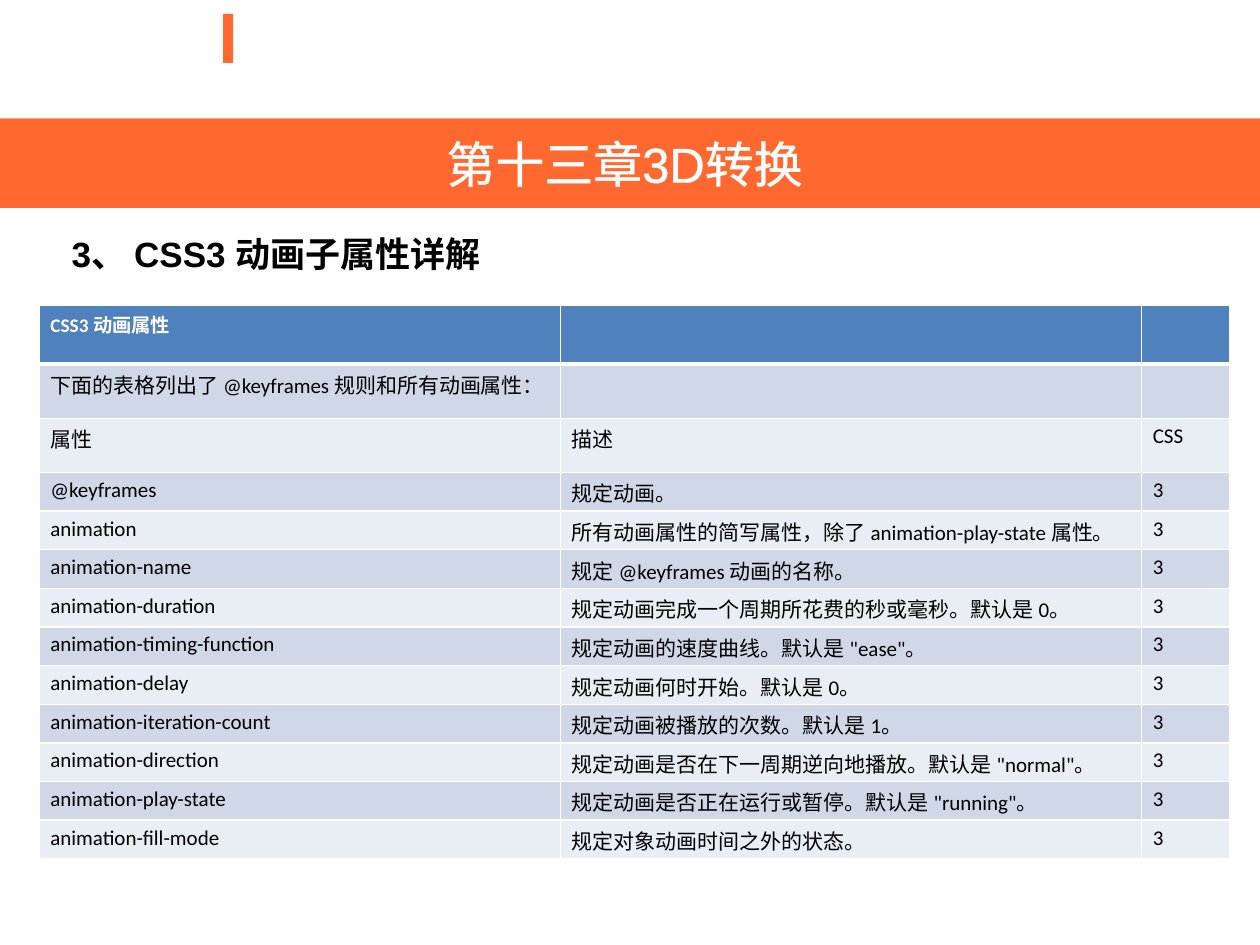
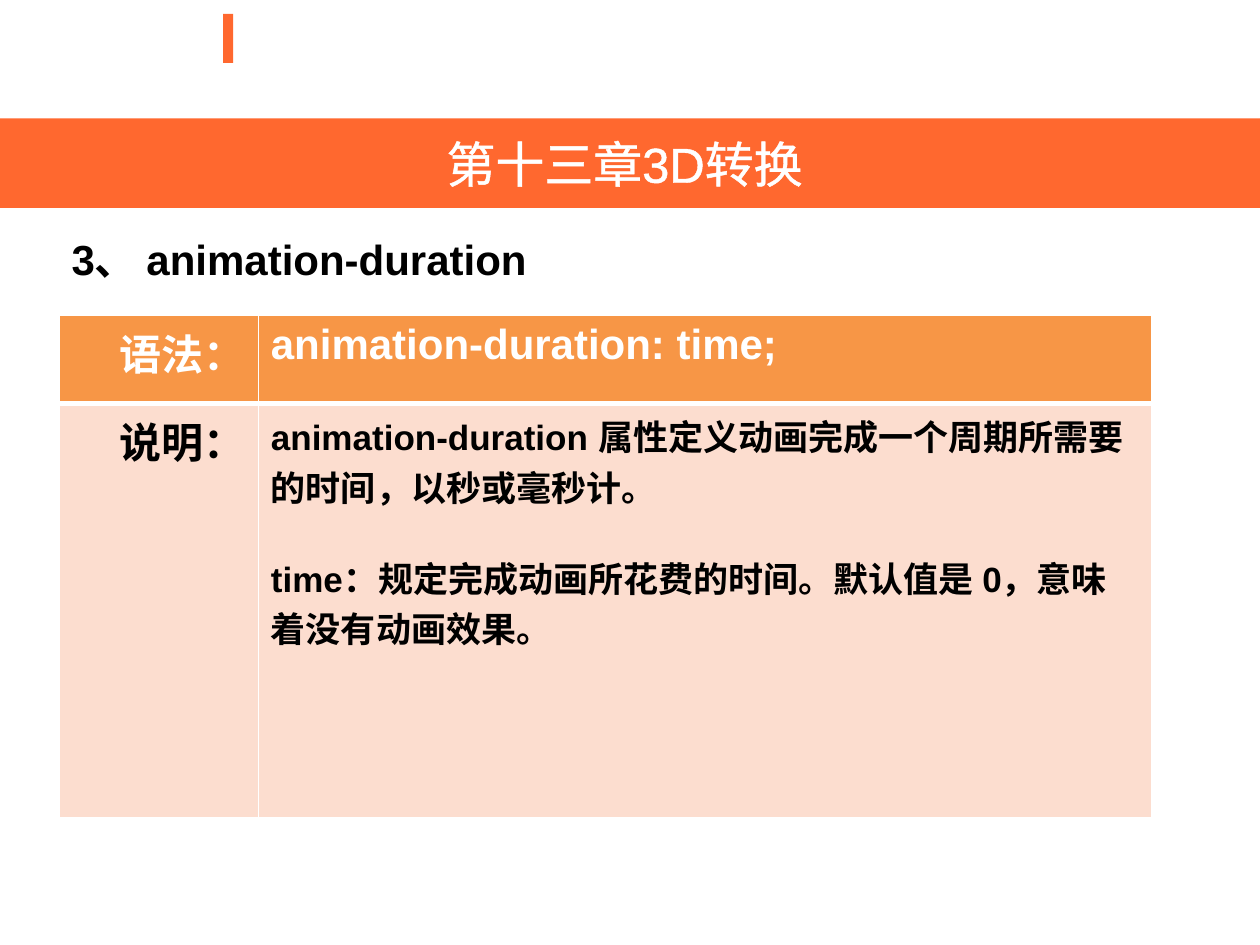
import dataclasses

import pptx
import pptx.dml.color
import pptx.enum.shapes
import pptx.enum.text
import pptx.oxml.ns
import pptx.slide
import pptx.util
from lxml import etree

Inches = pptx.util.Inches
Pt = pptx.util.Pt
Align = pptx.enum.text.PP_ALIGN
Anchor = pptx.enum.text.MSO_ANCHOR
AutoSize = pptx.enum.text.MSO_AUTO_SIZE


@dataclasses.dataclass(frozen=True)
class Theme:
    accent: str = "FF682F"
    white: str = "FFFFFF"
    ink: str = "000000"
    blue_header: str = "4F81BD"
    blue_bands: tuple = ("D0D8E8", "E9EDF4")
    orange_header: str = "F79646"
    orange_body: str = "FCDDCF"
    font: str = "Arial"
    table_font: str = "Calibri"
    title_size: float = 28
    title_outline: float = 1.45
    large: float = 24
    medium: float = 20
    cell_size: float = 12
    cell_header_size: float = 11
    thin: float = 1
    thick: float = 3


CHAPTER = "第十三章3D转换\N{NO-BREAK SPACE}"
PROPERTIES = [
    ("@keyframes", "规定动画。"),
    ("animation", "所有动画属性的简写属性，除了 animation-play-state 属性。"),
    ("animation-name", "规定 @keyframes 动画的名称。"),
    ("animation-duration", "规定动画完成一个周期所花费的秒或毫秒。默认是 0。"),
    ("animation-timing-function", '规定动画的速度曲线。默认是 "ease"。'),
    ("animation-delay", "规定动画何时开始。默认是 0。"),
    ("animation-iteration-count", "规定动画被播放的次数。默认是 1。"),
    ("animation-direction", '规定动画是否在下一周期逆向地播放。默认是 "normal"。'),
    ("animation-play-state", '规定动画是否正在运行或暂停。默认是 "running"。'),
    ("animation-fill-mode", "规定对象动画时间之外的状态。"),
]


def rgb(color):
    return pptx.dml.color.RGBColor.from_string(color)


def add_line(parent, tag, width, color):
    """Return a solid a:ln-type element added under parent."""
    qn = pptx.oxml.ns.qn
    line = etree.SubElement(parent, qn(tag), w=str(Pt(width)))
    fill = etree.SubElement(line, qn("a:solidFill"))
    etree.SubElement(fill, qn("a:srgbClr"), val=color)
    return line


def write(frame, text, *, size, color, font, bold=False, align=Align.LEFT,
          gap=0, outline=None):
    """Fill a text frame, one paragraph a line, with gap points between them."""
    for number, words in enumerate(text.split("\n")):
        paragraph = frame.add_paragraph() if number else frame.paragraphs[0]
        paragraph.alignment = align
        paragraph.space_before = Pt(gap if number else 0)
        run = paragraph.add_run()
        run.text = words
        run.font.size = Pt(size)
        run.font.name = font
        run.font.bold = bold
        run.font.color.rgb = rgb(color)
        if outline:
            properties = run.font.fill._xPr
            properties.insert(0, add_line(properties, "a:ln", outline, color))


@dataclasses.dataclass
class Deck:
    presentation: pptx.presentation.Presentation
    theme: Theme
    slide: pptx.slide.Slide = None

    def start_slide(self, heading, size):
        layout = self.presentation.slide_layouts[5]
        self.slide = self.presentation.slides.add_slide(layout)
        self.accent_mark()
        self.chapter_band()
        self.heading(heading, size)

    def accent_mark(self):
        mark = self.slide.shapes.add_shape(
            pptx.enum.shapes.MSO_SHAPE.RECTANGLE,
            Inches(1.77), Inches(0.11), Inches(0.08), Inches(0.39))
        mark.shadow.inherit = False
        mark.fill.solid()
        mark.fill.fore_color.rgb = rgb(self.theme.accent)
        mark.line.fill.background()

    def chapter_band(self):
        theme = self.theme
        band = self.slide.shapes.title
        band.left, band.top = Inches(0), Inches(0.94)
        band.width, band.height = self.presentation.slide_width, Inches(0.71)
        band.fill.solid()
        band.fill.fore_color.rgb = rgb(theme.accent)
        band.text_frame.auto_size = AutoSize.NONE
        band.text_frame.vertical_anchor = Anchor.MIDDLE
        write(band.text_frame, CHAPTER, size=theme.title_size,
              color=theme.white, font=theme.font, align=Align.CENTER,
              outline=theme.title_outline)

    def heading(self, text, size):
        box = self.slide.shapes.add_textbox(
            Inches(0.47), Inches(1.8), Inches(9.06), Inches(size / 50 + 0.03))
        box.text_frame.word_wrap = True
        box.text_frame.auto_size = AutoSize.SHAPE_TO_FIT_TEXT
        write(box.text_frame, text, size=size, color=self.theme.ink,
              font=self.theme.font, bold=True)

    def table(self, left, top, columns, rows):
        """Add an empty table with the given column widths and row heights."""
        table = self.slide.shapes.add_table(
            len(rows), len(columns), left, top, sum(columns), sum(rows)).table
        for column, width in zip(table.columns, columns):
            column.width = width
        for row, height in zip(table.rows, rows):
            row.height = height
        return table

    def cell(self, table, row, column, text, fill, **text_format):
        """Fill and border one cell; the rule under the first row is thick."""
        theme = self.theme
        cell = table.cell(row, column)
        properties = cell._tc.get_or_add_tcPr()
        widths = {
            "a:lnL": theme.thin,
            "a:lnR": theme.thin,
            "a:lnT": theme.thick if row == 1 else theme.thin,
            "a:lnB": theme.thick if row == 0 else theme.thin,
        }
        for tag, width in widths.items():
            add_line(properties, tag, width, theme.white)
        cell.fill.solid()
        cell.fill.fore_color.rgb = rgb(fill)
        if text:
            write(cell.text_frame, text, **text_format)
        return cell


def build_property_overview(deck):
    theme = deck.theme
    deck.start_slide("3、 CSS3 动画子属性详解", theme.medium)
    lines = [
        ("CSS3 动画属性", "", ""),
        ("下面的表格列出了 @keyframes 规则和所有动画属性：", "", ""),
        ("属性", "描述", "CSS"),
        *((name, description, "3") for name, description in PROPERTIES),
    ]
    property_height = Inches(3.07) // len(PROPERTIES)
    heights = [Inches(0.47), Inches(0.43), Inches(0.43)]
    heights += [property_height] * len(PROPERTIES)
    overview = deck.table(Inches(0.31), Inches(2.42),
                          [Inches(4.14), Inches(4.61), Inches(0.7)], heights)
    for row, line in enumerate(lines):
        header = row == 0
        fill = theme.blue_header if header else theme.blue_bands[(row - 1) % 2]
        for column, text in enumerate(line):
            cell = deck.cell(
                overview, row, column, text, fill, font=theme.table_font,
                size=theme.cell_header_size if header else theme.cell_size,
                color=theme.white if header else theme.ink, bold=header)
            cell.margin_left = cell.margin_right = Inches(0.09)
            cell.margin_top, cell.margin_bottom = Inches(0.04), Inches(0)


def build_duration(deck):
    theme = deck.theme
    deck.start_slide("3、 animation-duration", theme.large)
    explanation = (
        "animation-duration 属性定义动画完成一个周期所需要的时间，以秒或毫秒计。\n"
        "time：规定完成动画所花费的时间。默认值是 0，意味着没有动画效果。")
    lines = [
        ("语法：", "animation-duration: time;", theme.large,
         theme.white, theme.orange_header),
        ("说明：", explanation, theme.medium, theme.ink, theme.orange_body),
    ]
    syntax = deck.table(Inches(0.47), Inches(2.5),
                        [Inches(1.58), Inches(7.09)],
                        [Inches(0.7), Inches(3.29)])
    for row, (label, text, size, color, fill) in enumerate(lines):
        shared = dict(color=color, font=theme.font, bold=True)
        deck.cell(syntax, row, 0, label, fill, size=theme.large,
                  align=Align.RIGHT, **shared)
        deck.cell(syntax, row, 1, text, fill, size=size, gap=23, **shared)


def main():
    presentation = pptx.Presentation()
    presentation.slide_width = Inches(10)
    presentation.slide_height = Inches(7.5)
    deck = Deck(presentation, Theme())
    build_property_overview(deck)
    build_duration(deck)
    presentation.save("out.pptx")


if __name__ == "__main__":
    main()
